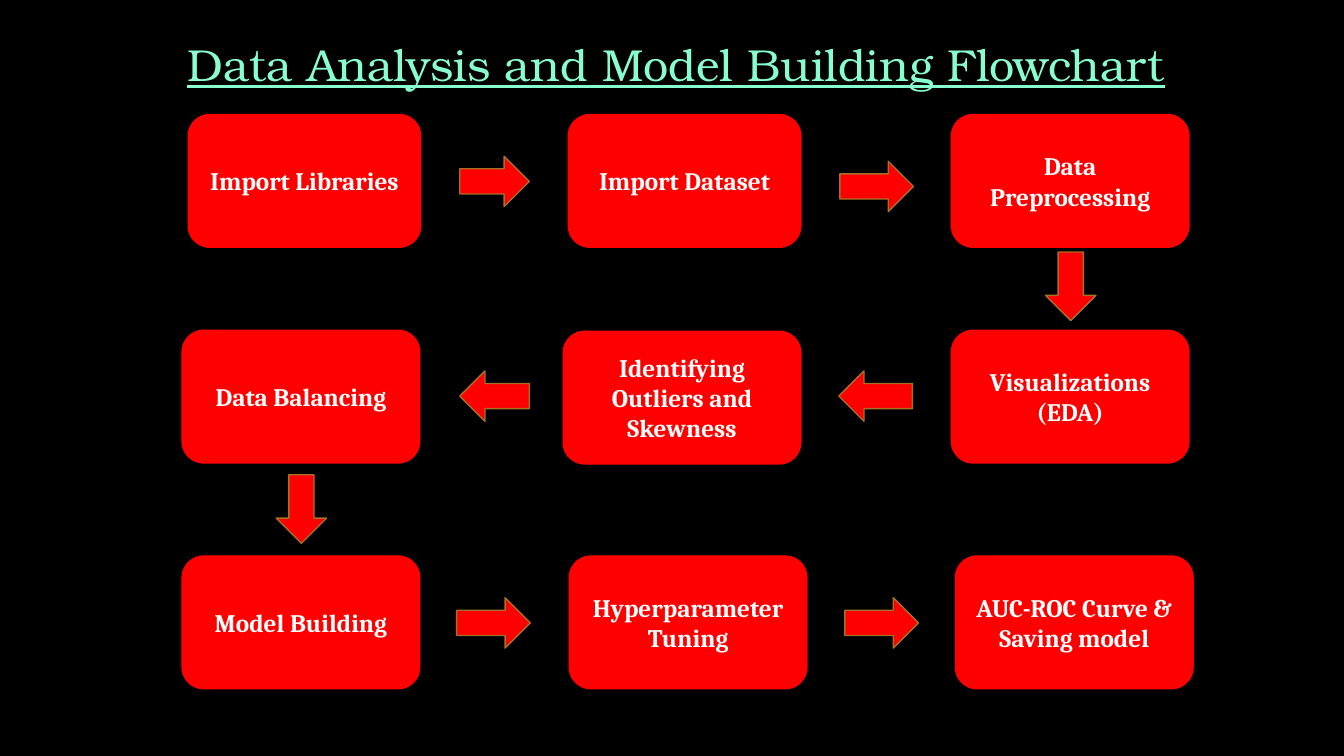
from pptx import Presentation
from pptx.dml.color import RGBColor
from pptx.enum.shapes import MSO_SHAPE
from pptx.enum.text import MSO_ANCHOR, PP_ALIGN
from pptx.util import Inches, Pt


def color(hex_value):
    return RGBColor.from_string(hex_value)


def write(frame, text, font_format, font_color):
    frame.word_wrap = True
    frame.text = text
    for paragraph in frame.paragraphs:
        paragraph.alignment = PP_ALIGN.CENTER
        font = paragraph.runs[0].font
        for attribute, value in font_format.items():
            setattr(font, attribute, value)
        font.color.rgb = color(font_color)


RED = "FF0000"
TITLE_FORMAT = {"name": "TeX Gyre Bonum", "size": Pt(32), "underline": True}
STEP_FORMAT = {"name": "Cambria", "size": Pt(18), "bold": True}

presentation = Presentation()
presentation.slide_width = Inches(13.33)
presentation.slide_height = Inches(7.5)
slide = presentation.slides.add_slide(presentation.slide_layouts[6])
slide.background.fill.solid()
slide.background.fill.fore_color.rgb = color("000000")

# Title
title = slide.shapes.add_textbox(Inches(0.56), Inches(0.32), Inches(12.3), Inches(0.94))
write(title.text_frame, "Data Analysis and Model Building Flowchart", TITLE_FORMAT, "88FECE")

# Steps in reading order of the flow: text, left, top, width
STEP_HEIGHT = 1.33
steps = [
    ("Import Libraries", 1.86, 1.13, 2.32),
    ("Import Dataset", 5.63, 1.13, 2.32),
    ("Data Preprocessing", 9.43, 1.13, 2.37),
    ("Visualizations\n(EDA)", 9.43, 3.27, 2.37),
    ("Identifying Outliers and Skewness", 5.58, 3.28, 2.37),
    ("Data Balancing", 1.8, 3.27, 2.37),
    ("Model Building", 1.8, 5.51, 2.37),
    ("Hyperparameter Tuning", 5.64, 5.51, 2.37),
    ("AUC-ROC Curve & Saving model", 9.47, 5.51, 2.37),
]
for text, left, top, width in steps:
    step = slide.shapes.add_shape(
        MSO_SHAPE.FLOWCHART_ALTERNATE_PROCESS,
        Inches(left), Inches(top), Inches(width), Inches(STEP_HEIGHT))
    step.shadow.inherit = False
    step.fill.solid()
    step.fill.fore_color.rgb = color(RED)
    step.line.fill.background()
    step.text_frame.vertical_anchor = MSO_ANCHOR.MIDDLE
    write(step.text_frame, text, STEP_FORMAT, "FFFFFF")

# Arrows from each step to the next: direction, left, top, width, height
arrows = [
    (MSO_SHAPE.RIGHT_ARROW, 4.56, 1.55, 0.69, 0.5),
    (MSO_SHAPE.RIGHT_ARROW, 8.33, 1.6, 0.73, 0.5),
    (MSO_SHAPE.DOWN_ARROW, 10.37, 2.5, 0.5, 0.68),
    (MSO_SHAPE.LEFT_ARROW, 8.32, 3.68, 0.73, 0.5),
    (MSO_SHAPE.LEFT_ARROW, 4.56, 3.68, 0.69, 0.5),
    (MSO_SHAPE.DOWN_ARROW, 2.74, 4.71, 0.5, 0.68),
    (MSO_SHAPE.RIGHT_ARROW, 4.53, 5.93, 0.73, 0.5),
    (MSO_SHAPE.RIGHT_ARROW, 8.38, 5.93, 0.73, 0.5),
]
for direction, *box in arrows:
    arrow = slide.shapes.add_shape(direction, *[Inches(length) for length in box])
    arrow.shadow.inherit = False
    arrow.fill.solid()
    arrow.fill.fore_color.rgb = color(RED)
    arrow.line.color.rgb = color("A77125")
    arrow.line.width = Pt(1)

presentation.save("out.pptx")
